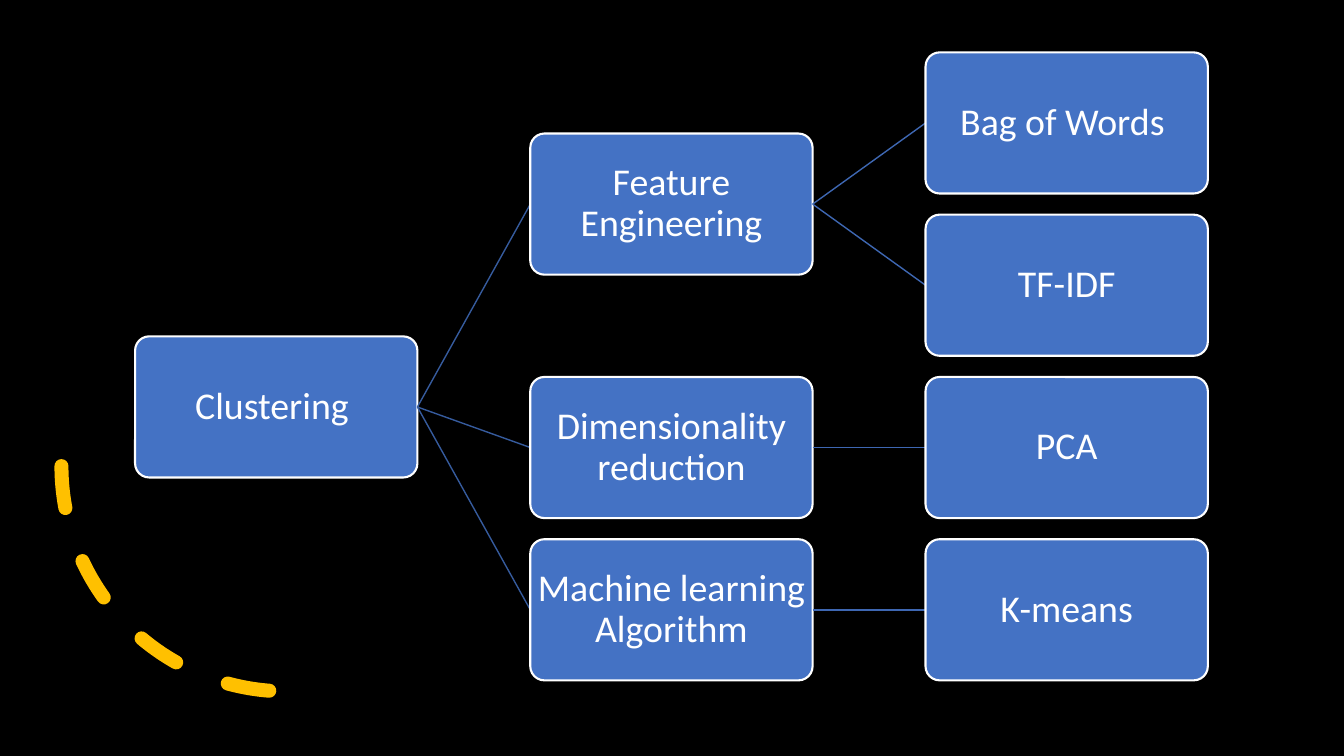
from dataclasses import dataclass
from typing import Optional

from lxml import etree
from pptx import Presentation
from pptx import util as u
from pptx.dml.color import RGBColor
from pptx.enum import dml, shapes, text
from pptx.oxml import ns

BLACK = RGBColor(0x00, 0x00, 0x00)
WHITE = RGBColor(0xFF, 0xFF, 0xFF)
BLUE = RGBColor(0x44, 0x72, 0xC4)
AMBER = RGBColor(0xFF, 0xC0, 0x00)
# Branch colour for each level of the tree
BRANCH_COLOURS = (RGBColor(0x36, 0x5B, 0x9D), RGBColor(0x3E, 0x67, 0xB2))

# Tree grid, in inches
GRID_LEFT, GRID_TOP = 1.34, 0.52
COLUMN_STEP, ROW_STEP = 3.92, 1.61
BOX_WIDTH, BOX_HEIGHT = 2.8, 1.4


@dataclass(frozen=True)
class Topic:
    label: str
    column: int
    row: float
    parent: Optional["Topic"] = None

    @property
    def left(self) -> float:
        return GRID_LEFT + self.column * COLUMN_STEP

    @property
    def top(self) -> float:
        return GRID_TOP + self.row * ROW_STEP

    @property
    def middle(self) -> float:
        return self.top + BOX_HEIGHT / 2


clustering = Topic("Clustering ", 0, 1.75)
features = Topic("Feature Engineering", 1, 0.5, clustering)
reduction = Topic("Dimensionality reduction", 1, 2, clustering)
algorithm = Topic("Machine learning Algorithm", 1, 3, clustering)
TOPICS = (
    clustering,
    features,
    Topic("Bag of Words ", 2, 0, features),
    Topic("TF-IDF", 2, 1, features),
    reduction,
    Topic("PCA", 2, 2, reduction),
    algorithm,
    Topic("K-means", 2, 3, algorithm),
)


def draw_backdrop(slide, width: int, height: int) -> None:
    backdrop = slide.shapes.add_shape(shapes.MSO_SHAPE.RECTANGLE, 0, 0, width, height)
    backdrop.shadow.inherit = False
    backdrop.fill.solid()
    backdrop.fill.fore_color.rgb = BLACK
    backdrop.line.fill.background()


def draw_dashed_arc(slide) -> None:
    size = u.Inches(4.47)
    arc = slide.shapes.add_shape(
        shapes.MSO_SHAPE.ARC, u.Inches(0.61), u.Inches(2.39), size, size)
    arc.shadow.inherit = False
    arc.rotation = 90
    arc.fill.background()
    arc.line.color.rgb = AMBER
    arc.line.width = u.Pt(10)
    arc.line.dash_style = dml.MSO_LINE.DASH
    # Mirrored outline with round caps
    properties = arc._element.spPr
    properties.find(ns.qn("a:xfrm")).set("flipV", "1")
    properties.find(ns.qn("a:ln")).set("cap", "rnd")


def draw_branch(slide, topic: Topic) -> None:
    parent = topic.parent
    if parent is None:
        return
    branch = slide.shapes.add_connector(
        shapes.MSO_CONNECTOR.STRAIGHT,
        u.Inches(parent.left + BOX_WIDTH), u.Inches(parent.middle),
        u.Inches(topic.left), u.Inches(topic.middle))
    branch.line.color.rgb = BRANCH_COLOURS[parent.column]
    branch.line.width = u.Pt(1)
    etree.SubElement(branch._element.spPr, ns.qn("a:effectLst"))


def draw_topic(slide, topic: Topic) -> None:
    box = slide.shapes.add_shape(
        shapes.MSO_SHAPE.ROUNDED_RECTANGLE, u.Inches(topic.left),
        u.Inches(topic.top), u.Inches(BOX_WIDTH), u.Inches(BOX_HEIGHT))
    box.adjustments[0] = 0.1
    box.shadow.inherit = False
    box.fill.solid()
    box.fill.fore_color.rgb = BLUE
    box.line.color.rgb = WHITE
    box.line.width = u.Pt(1.5)

    frame = box.text_frame
    frame.word_wrap = True
    frame.vertical_anchor = text.MSO_ANCHOR.MIDDLE
    frame.margin_left = frame.margin_right = u.Inches(0.02)
    frame.margin_top = frame.margin_bottom = u.Inches(0.02)
    label = frame.paragraphs[0]
    label.text = topic.label
    label.alignment = text.PP_ALIGN.CENTER
    label.line_spacing = 0.9
    label.font.name = "Calibri"
    label.font.size = u.Pt(27)
    label.font.color.rgb = WHITE


def main() -> None:
    deck = Presentation()
    deck.slide_width, deck.slide_height = u.Inches(13.33), u.Inches(7.5)
    slide = deck.slides.add_slide(deck.slide_layouts[6])

    # Background and decoration
    draw_backdrop(slide, deck.slide_width, deck.slide_height)
    draw_dashed_arc(slide)

    # Tree of topics
    for topic in TOPICS:
        draw_branch(slide, topic)
        draw_topic(slide, topic)

    deck.save("out.pptx")


if __name__ == "__main__":
    main()
